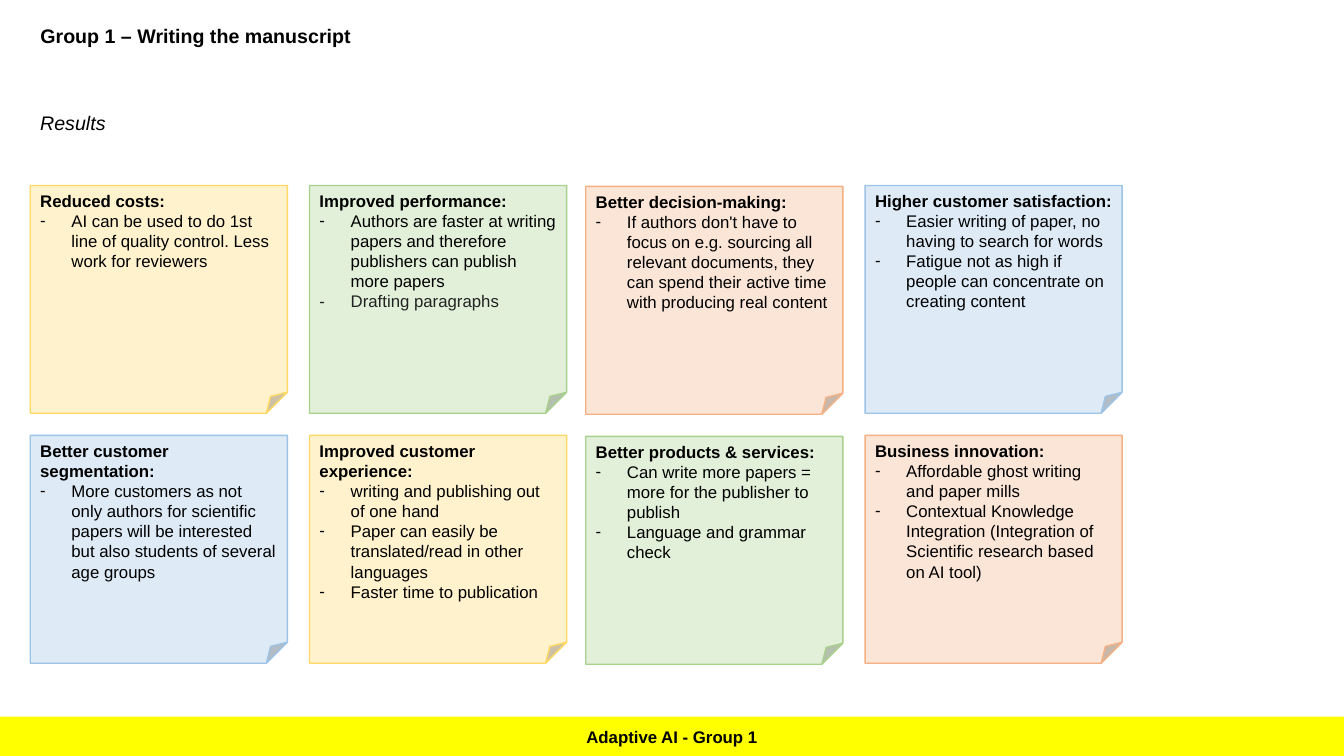
from lxml import etree
from pptx import Presentation
from pptx.dml.color import RGBColor
from pptx.enum import shapes, text
from pptx.oxml import ns
from pptx.util import Inches, Pt

BLACK = RGBColor(0x00, 0x00, 0x00)
GREY = RGBColor(0x22, 0x22, 0x22)
BAND = RGBColor(0xFF, 0xFF, 0x00)
YELLOW = RGBColor(0xFF, 0xF2, 0xCC), RGBColor(0xFF, 0xD9, 0x66)
GREEN = RGBColor(0xE2, 0xF0, 0xD9), RGBColor(0xA9, 0xD1, 0x8E)
ORANGE = RGBColor(0xFB, 0xE5, 0xD6), RGBColor(0xF4, 0xB1, 0x83)
BLUE = RGBColor(0xDE, 0xEB, 0xF7), RGBColor(0x9D, 0xC3, 0xE6)

COLUMNS = [(0.3, 1.84), (3.07, 1.84), (5.81, 1.85), (8.58, 1.84)]
PITCH = 2.48
NOTES = [
    [
        (YELLOW, "Reduced costs:", [
            ("AI can be used to do 1st line of quality control. Less work for reviewers", BLACK)]),
        (GREEN, "Improved performance:", [
            ("Authors are faster at writing papers and therefore publishers can publish more papers", BLACK),
            ("Drafting paragraphs", GREY)]),
        (ORANGE, "Better decision-making:", [
            ("If authors don't have to focus on e.g. sourcing all relevant documents, "
             "they can spend their active time with producing real content", BLACK)]),
        (BLUE, "Higher customer satisfaction:", [
            ("Easier writing of paper, no having to search for words", BLACK),
            ("Fatigue not as high if people can concentrate on creating content", BLACK)]),
    ],
    [
        (BLUE, "Better customer segmentation:", [
            ("More customers as not only authors for scientific papers will be interested "
             "but also students of several age groups", BLACK)]),
        (YELLOW, "Improved customer experience:", [
            ("writing and publishing out of one hand", BLACK),
            ("Paper can easily be translated/read in other languages", BLACK),
            ("Faster time to publication", BLACK)]),
        (GREEN, "Better products & services:", [
            ("Can write more papers = more for the publisher to publish", BLACK),
            ("Language and grammar check", BLACK)]),
        (ORANGE, "Business innovation:", [
            ("Affordable ghost writing and paper mills", BLACK),
            ("Contextual Knowledge Integration (Integration of Scientific research based on AI tool)", BLACK)]),
    ],
]


def write(para, words, size, color=BLACK, bold=False, italic=False, align=text.PP_ALIGN.LEFT):
    para.alignment = align
    run = para.add_run()
    run.text = words
    font = run.font
    font.name, font.size = "Arial", Pt(size)
    font.bold, font.italic = bold, italic
    font.color.rgb = color


def dash(para):
    props = para._p.get_or_add_pPr()
    props.set("marL", str(Inches(0.31)))
    props.set("indent", str(-Inches(0.31)))
    etree.SubElement(props, ns.qn("a:buFont"), typeface="Arial")
    etree.SubElement(props, ns.qn("a:buChar"), char="-")


def fold(card, size):
    guides = card._element.spPr.find(ns.qn("a:prstGeom")).get_or_add_avLst()
    etree.SubElement(guides, ns.qn("a:gd"), name="adj", fmla=f"val {round(size * 100000)}")


def place(shape, left, top, width, height):
    shape.left, shape.top = Inches(left), Inches(top)
    shape.width, shape.height = Inches(width), Inches(height)


def setup(frame, anchor=text.MSO_ANCHOR.TOP):
    frame.word_wrap = True
    frame.auto_size = text.MSO_AUTO_SIZE.NONE
    frame.vertical_anchor = anchor
    return frame.paragraphs[0]


def head(slide, left, top, width, height):
    title = slide.shapes.title
    place(title, left, top, width, height)
    write(setup(title.text_frame), "Group 1 – Writing the manuscript", 14, bold=True)


def label(slide, left, top, width, height):
    box = slide.shapes.add_textbox(*map(Inches, (left, top, width, height)))
    write(setup(box.text_frame), "Results", 14, italic=True)


def note(slide, left, top, width, height, colors, topic, points):
    card = slide.shapes.add_shape(
        shapes.MSO_SHAPE.FOLDED_CORNER, *map(Inches, (left, top, width, height)))
    fold(card, 0.092)
    card.shadow.inherit = False
    card.fill.solid()
    card.fill.fore_color.rgb, card.line.color.rgb = colors
    card.line.width = Pt(1)
    write(setup(card.text_frame), topic, 12, bold=True)
    for words, color in points:
        para = card.text_frame.add_paragraph()
        dash(para)
        write(para, words, 12, color)


def board(slide, width, height):
    for row, cards in enumerate(NOTES):
        for (left, top), card in zip(COLUMNS, cards):
            note(slide, left, top + row * PITCH, width, height, *card)


def footer(slide, left, top, width, height):
    band = slide.shapes.add_shape(
        shapes.MSO_SHAPE.RECTANGLE, *map(Inches, (left, top, width, height)))
    band.shadow.inherit = False
    band.fill.solid()
    band.fill.fore_color.rgb = BAND
    band.line.fill.background()
    write(setup(band.text_frame, text.MSO_ANCHOR.MIDDLE), "Adaptive AI - Group 1", 12,
          bold=True, align=text.PP_ALIGN.CENTER)


def main():
    deck = Presentation()
    deck.slide_width, deck.slide_height = Inches(13.33), Inches(7.5)
    slide = deck.slides.add_slide(deck.slide_layouts[5])
    footer(slide, 0, 7.11, 13.33, 0.4)
    head(slide, 0.3, 0.19, 6.67, 0.34)
    label(slide, 0.3, 1.05, 12.76, 0.34)
    board(slide, 2.55, 2.26)
    deck.save("out.pptx")


if __name__ == "__main__":
    main()
